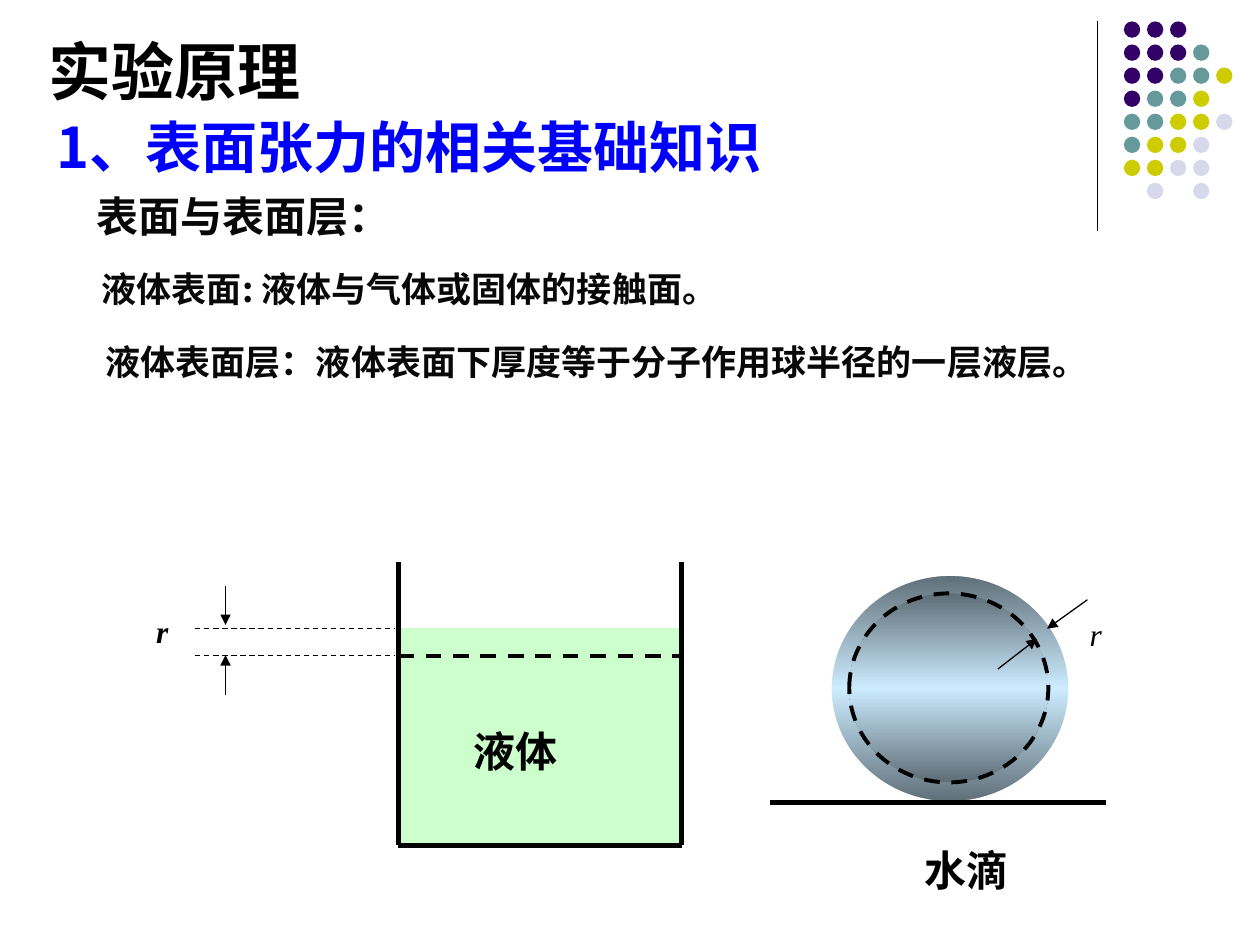
from copy import deepcopy

from lxml.etree import SubElement
from pptx import Presentation
from pptx.dml.color import RGBColor
from pptx.enum.dml import MSO_LINE
from pptx.enum.shapes import MSO_CONNECTOR, MSO_SHAPE
from pptx.enum.text import MSO_ANCHOR
from pptx.oxml.ns import qn
from pptx.util import Inches, Pt

BLACK = RGBColor(0x00, 0x00, 0x00)
INK = RGBColor(0x08, 0x08, 0x08)
WHITE = RGBColor(0xFF, 0xFF, 0xFF)
BLUE = RGBColor(0x00, 0x00, 0xFF)
LIQUID = RGBColor(0xCC, 0xFF, 0xCC)
SHADE = RGBColor(0x5E, 0x6D, 0x76)
SHINE = RGBColor(0xCC, 0xEC, 0xFF)
DOT_COLORS = {
    "P": RGBColor(0x33, 0x00, 0x66),
    "T": RGBColor(0x66, 0x99, 0x99),
    "Y": RGBColor(0xCC, 0xCC, 0x00),
    "L": RGBColor(0xD8, 0xD8, 0xEC),
}

CJK = "Noto Sans CJK SC"
SERIF = "Times New Roman"
SANS = "Arial"

DOT_ROWS = ["PPP", "PPPT", "PPTTY", "PTTY", "TTYYL", "TYYL", "YYLL", " L L"]
DOT_LEFT, DOT_TOP, DOT_STEP, DOT_SIZE = 8.92, 0.17, 0.183, 0.13

MIDDLE = {"anchor": MSO_ANCHOR.MIDDLE}
TEXTS = [
    ("1、表面张力的相关基础知识", (0.35, 0.84, 6.77, 0.64), {"size": 32, "color": BLUE, **MIDDLE}),
    ("表面与表面层：", (0.67, 1.46, 3.08, 0.5), {"size": 24, "color": INK, **MIDDLE}),
    ("液体表面: 液体与气体或固体的接触面。", (0.71, 2.07, 5.61, 0.44), {"size": 20, "color": INK, **MIDDLE}),
    ("实验原理", (0.29, 0.21, 3.07, 0.71), {"size": 36, "font": SERIF}),
    ("液体表面层：液体表面下厚度等于分子作用球半径的一层液层。", (0.74, 2.65, 8.21, 0.44),
     {"size": 20, "color": INK}),
    ("r", (1.14, 4.81, 0.47, 0.5), {"size": 18, "font": SERIF, "italic": True}),
    ("r", (8.55, 4.83, 0.47, 0.5), {"size": 18, "font": SERIF, "italic": True, "bold": False}),
    ("水滴", (7.24, 6.65, 1.26, 0.5), {"size": 24, "font": SANS}),
    ("液体", (3.66, 5.71, 1.26, 0.5), {"size": 24, "font": SANS}),
]

BEAKER_LEFT, BEAKER_RIGHT, BEAKER_TOP, BEAKER_BOTTOM = 3.16, 5.41, 4.46, 6.71
LIQUID_TOP, LAYER_BOTTOM = 4.96, 5.21
BEAKER_WALLS = [
    (BEAKER_LEFT, BEAKER_TOP, BEAKER_LEFT, BEAKER_BOTTOM),
    (BEAKER_RIGHT, BEAKER_BOTTOM, BEAKER_RIGHT, BEAKER_TOP),
    (BEAKER_LEFT, BEAKER_BOTTOM, BEAKER_RIGHT, BEAKER_BOTTOM),
]
LAYER_GUIDES = [(1.55, y, 3.13, y) for y in (4.99, 5.2)]
RADIUS_ARROWS = [
    (1.79, 5.52, 1.79, 5.2),
    (1.79, 4.65, 1.79, 4.96),
    (8.63, 4.76, 8.31, 4.99),
    (7.92, 5.31, 8.23, 5.07),
]
GROUND = (6.11, 6.37, 8.78, 6.37)
DROP = (6.58, 4.55, 1.92, 1.83)
DROP_CORE = (6.74, 4.71, 1.58, 1.5)


def add_text(slide, text, box, size, font=CJK, color=BLACK, bold=True, italic=False,
             anchor=MSO_ANCHOR.TOP):
    tf = slide.shapes.add_textbox(*map(Inches, box)).text_frame
    tf.word_wrap = True
    tf.vertical_anchor = anchor
    r = tf.paragraphs[0].add_run()
    r.text = text
    r.font.name = font
    r.font.size = Pt(size)
    r.font.bold = bold
    r.font.italic = italic
    r.font.color.rgb = color
    SubElement(r._r.get_or_add_rPr(), qn("a:ea")).set("typeface", CJK)


def add_line(slide, ends, width, dashed=False, arrow=False):
    line = slide.shapes.add_connector(MSO_CONNECTOR.STRAIGHT, *map(Inches, ends))
    line.line.color.rgb = BLACK
    line.line.width = Pt(width)
    if dashed:
        line.line.dash_style = MSO_LINE.DASH
    if arrow:
        SubElement(line.line._get_or_add_ln(), qn("a:tailEnd")).set("type", "triangle")
    SubElement(line._element.spPr, qn("a:effectLst"))


def add_figure(slide, kind, box, fill=None, line=None, width=3):
    sp = slide.shapes.add_shape(kind, *map(Inches, box))
    sp.shadow.inherit = False
    if fill is not None:
        sp.fill.solid()
        sp.fill.fore_color.rgb = fill
    if line is None:
        sp.line.fill.background()
    else:
        sp.line.color.rgb = line
        sp.line.width = Pt(width)
    return sp


def shade(sp):
    sp.fill.gradient()
    sp.fill.gradient_angle = 90
    stop_list = sp._element.spPr.find(".//" + qn("a:gsLst"))
    stop_list.append(deepcopy(stop_list[0]))
    stops = zip(sp.fill.gradient_stops, (0, 0.5, 1), (SHADE, SHINE, SHADE))
    for stop, position, color in stops:
        stop.position = position
        stop.color.rgb = color


def add_dots(slide):
    for row, codes in enumerate(DOT_ROWS):
        for col, code in enumerate(codes):
            if code in DOT_COLORS:
                box = (DOT_LEFT + col * DOT_STEP, DOT_TOP + row * DOT_STEP, DOT_SIZE, DOT_SIZE)
                add_figure(slide, MSO_SHAPE.OVAL, box, fill=DOT_COLORS[code])


def add_drop(slide):
    shade(add_figure(slide, MSO_SHAPE.OVAL, DROP, line=WHITE))
    add_line(slide, GROUND, 3)
    core = add_figure(slide, MSO_SHAPE.OVAL, DROP_CORE, line=BLACK, width=2.25)
    shade(core)
    core.line.dash_style = MSO_LINE.DASH


def add_beaker(slide):
    box = (BEAKER_LEFT, LIQUID_TOP, BEAKER_RIGHT - BEAKER_LEFT, BEAKER_BOTTOM - LIQUID_TOP)
    add_figure(slide, MSO_SHAPE.RECTANGLE, box, fill=LIQUID, line=WHITE)
    for wall in BEAKER_WALLS:
        add_line(slide, wall, 3)
    add_line(slide, (BEAKER_LEFT, LAYER_BOTTOM, BEAKER_RIGHT, LAYER_BOTTOM), 2.25, dashed=True)


def main():
    prs = Presentation()
    prs.slide_width, prs.slide_height = Inches(10), Inches(7.5)
    slide = prs.slides.add_slide(prs.slide_layouts[6])
    add_line(slide, (8.71, 0.17, 8.71, 1.83), 0.75)
    add_dots(slide)
    add_drop(slide)
    add_beaker(slide)
    for guide in LAYER_GUIDES:
        add_line(slide, guide, 0.75, dashed=True)
    for arrow in RADIUS_ARROWS:
        add_line(slide, arrow, 0.75, arrow=True)
    for text, box, style in TEXTS:
        add_text(slide, text, box, **style)
    prs.save("out.pptx")


if __name__ == "__main__":
    main()
